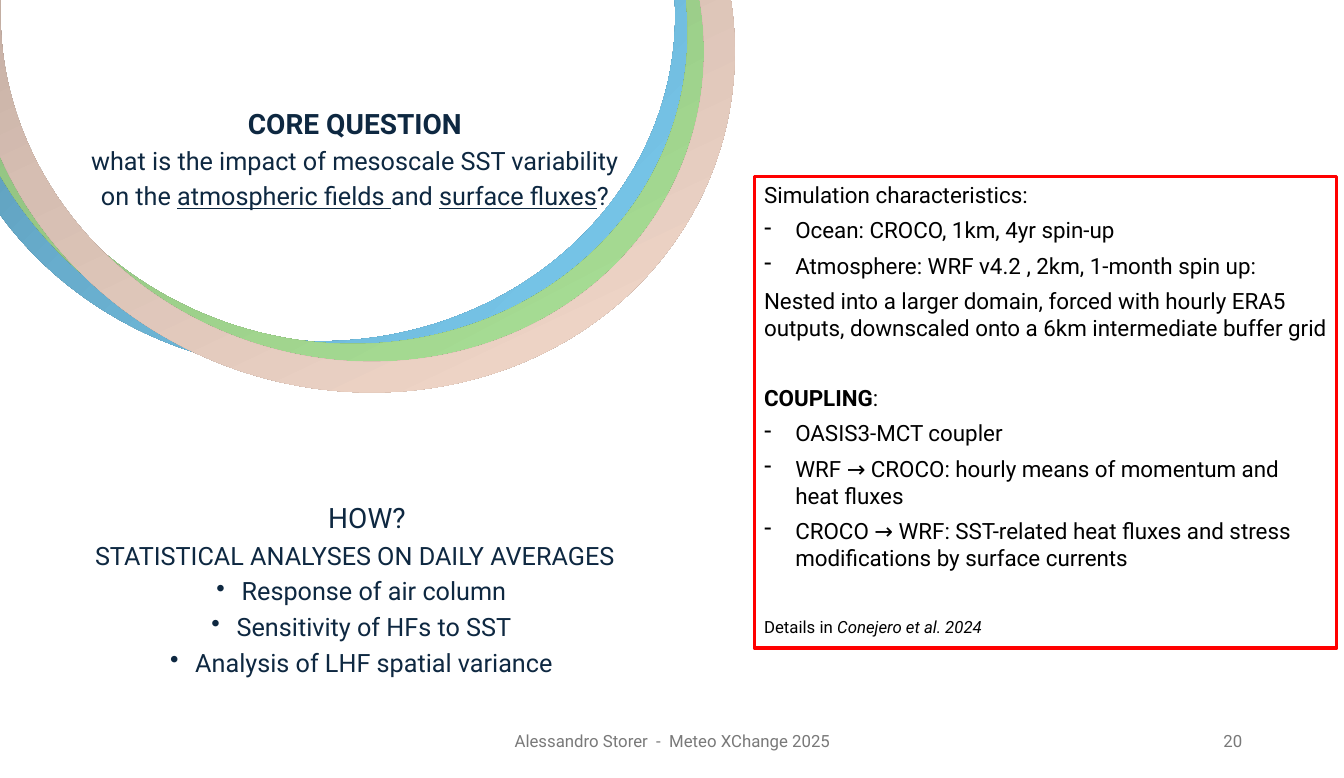
from lxml import etree
from pptx import Presentation
from pptx import util as u
from pptx.dml.color import RGBColor
from pptx.enum import shapes, text
from pptx.oxml.ns import qn

NAVY = RGBColor(0x0E, 0x28, 0x41)
BLACK = RGBColor(0, 0, 0)
RED = RGBColor(0xFF, 0, 0)
GREY = RGBColor(0x79, 0x79, 0x79)
BLUES = [RGBColor(0x49, 0x7A, 0x90), RGBColor(0x68, 0xAD, 0xCD), RGBColor(0x7C, 0xCE, 0xF3)]
GREENS = [RGBColor(0x69, 0x8B, 0x5D), RGBColor(0x95, 0xC6, 0x84), RGBColor(0xB1, 0xEA, 0x9D)]
ROSES = [RGBColor(0x96, 0x86, 0x7D), RGBColor(0xD6, 0xBE, 0xB2), RGBColor(0xFD, 0xE2, 0xD3)]

WIDE, HIGH = 13.33, 7.72
LEFT, COL = 0.47, 6.1
FOOT = 7.15
FONT = "Roboto"
MID, RIGHT = text.PP_ALIGN.CENTER, text.PP_ALIGN.RIGHT
BOLD, ITALIC, UNDER = {"bold": True}, {"italic": True}, {"underline": True}

CORE = [
    {"runs": [("CORE QUESTION", BOLD)], "size": 20},
    {"runs": [("what is the impact of mesoscale SST variability", {})]},
    {"runs": [("on the ", {}), ("atmospheric fields ", UNDER), ("and ", {}),
              ("surface fluxes", UNDER), ("?", {})]},
]
HOW = [
    {"runs": [("HOW?", {})], "size": 20, "indent": (0.24, 0)},
    {"runs": [("STATISTICAL ANALYSES ON DAILY AVERAGES", {})]},
] + [{"runs": [(line, {})], "bullet": "•", "indent": (0.38, -0.25)} for line in (
    "Response of air column",
    "Sensitivity of HFs to SST",
    "Analysis of LHF spatial variance",
)]


def dashes(*lines):
    return [{"runs": [(line, {})], "bullet": "-", "indent": (0.31, -0.31)} for line in lines]


SETUP = [
    {"runs": [("Simulation characteristics:", {})]},
    *dashes("Ocean: CROCO, 1km, 4yr spin-up",
            "Atmosphere: WRF v4.2 , 2km, 1-month spin up:"),
    {"runs": [("Nested into a larger domain, forced with hourly ERA5 outputs, "
               "downscaled onto a 6km intermediate buffer grid", {})]},
    {"runs": [("COUPLING", BOLD), (":", {})], "before": 25},
    *dashes("OASIS3-MCT coupler",
            "WRF → CROCO: hourly means of momentum and heat fluxes",
            "CROCO → WRF: SST-related heat fluxes and stress modifications by surface currents"),
    {"runs": [("Details in ", {}), ("Conejero et al. 2024", ITALIC)], "size": 12, "before": 27},
]
RINGS = [(-0.65, -3.37, 0, BLUES), (-0.5, -3.37, 17.4, GREENS), (-0.33, -3.2, 19.7, ROSES)]
FOOTERS = [
    (9.42, 3, RIGHT, "20"),
    (4.42, 4.5, MID, "Alessandro Storer  -  Meteo XChange 2025"),
]


def assign(item, values):
    for name, value in values.items():
        setattr(item, name, value)


def place(shape, *box):
    names = ("left", "top", "width", "height")
    assign(shape, {name: u.Inches(size) for name, size in zip(names, box)})


def write(shape, paras, size, color, align=None, lines=1.0, after=6,
          anchor=text.MSO_ANCHOR.TOP):
    frame = shape.text_frame
    assign(frame, {"word_wrap": True, "auto_size": text.MSO_AUTO_SIZE.NONE,
                   "vertical_anchor": anchor})
    for i, row in enumerate(paras):
        para = frame.add_paragraph() if i else frame.paragraphs[0]
        props = para._p.get_or_add_pPr()
        if "indent" in row:
            for name, value in zip(("marL", "indent"), row["indent"]):
                props.set(name, str(u.Inches(value)))
        if "bullet" in row:
            etree.SubElement(props, qn("a:buChar")).set("char", row["bullet"])
        assign(para, {"alignment": align or text.PP_ALIGN.LEFT, "line_spacing": lines,
                      "space_before": u.Pt(row.get("before", 0)),
                      "space_after": u.Pt(after)})
        for words, style in row["runs"]:
            run = para.add_run()
            run.text = words
            assign(run.font, {"name": FONT, "size": u.Pt(row.get("size", size)), **style})
            run.font.color.rgb = color


def shade(shape, colors):
    shape.fill.gradient()
    grad = shape._element.spPr.find(qn("a:gradFill"))
    stops = grad.find(qn("a:gsLst"))
    for stop in list(stops):
        stops.remove(stop)
    for i, color in enumerate(colors):
        stop = etree.SubElement(stops, qn("a:gs"), pos=str(i * 50000))
        etree.SubElement(stop, qn("a:srgbClr"), val=str(color))
    grad.find(qn("a:lin")).set("ang", str(45 * 60000))


def main():
    deck = Presentation()
    assign(deck, {"slide_width": u.Inches(WIDE), "slide_height": u.Inches(HIGH)})
    slide = deck.slides.add_slide(deck.slide_layouts[5])
    parts = slide.shapes

    def text_box(*box):
        return parts.add_textbox(*map(u.Inches, box))

    core = parts.title
    place(core, LEFT, 1.04, COL, 1.2)
    write(core, CORE, 18, NAVY, MID, 0.9)
    write(text_box(LEFT, 4.96, COL, 1.9), HOW, 18, NAVY, MID, 0.9)

    panel = parts.add_shape(shapes.MSO_SHAPE.RECTANGLE,
                            *map(u.Inches, (7.48, 1.75, 5.78, 4.68)))
    panel.shadow.inherit = False
    panel.fill.background()
    panel.line.color.rgb = RED
    panel.line.width = u.Pt(2.25)
    write(panel, SETUP, 16, BLACK)

    for left, top, turn, colors in RINGS:
        ring = parts.add_shape(shapes.MSO_SHAPE.DONUT,
                               *map(u.Inches, (left, top, 7.65, 7.06)))
        ring.adjustments[0] = 0.043
        ring.rotation = turn
        ring.shadow.inherit = False
        ring.line.fill.background()
        shade(ring, colors)

    for left, width, align, words in FOOTERS:
        write(text_box(left, FOOT, width, 0.41), [{"runs": [(words, {})]}], 12, GREY,
              align, after=0, anchor=text.MSO_ANCHOR.MIDDLE)

    deck.save("out.pptx")


if __name__ == "__main__":
    main()
